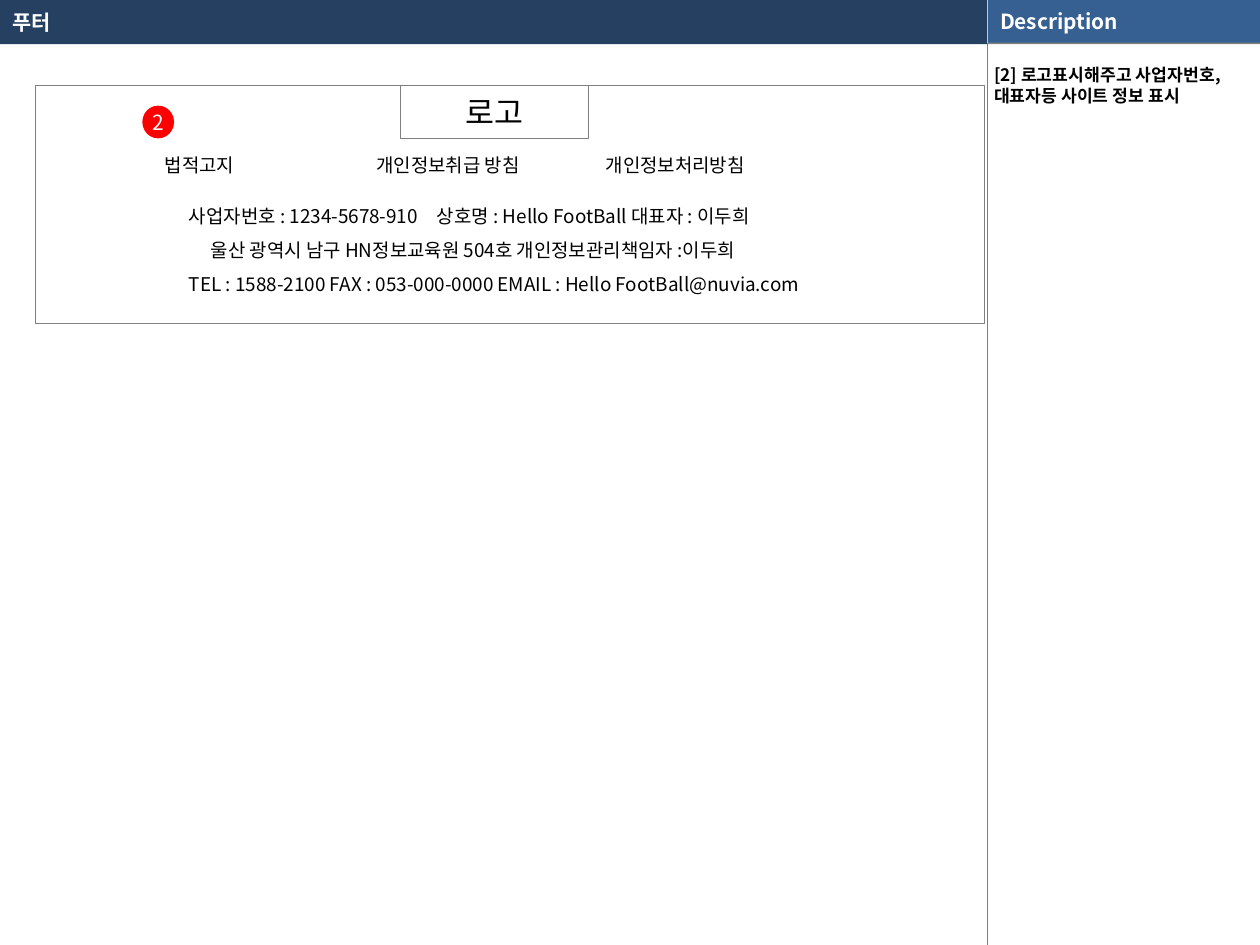
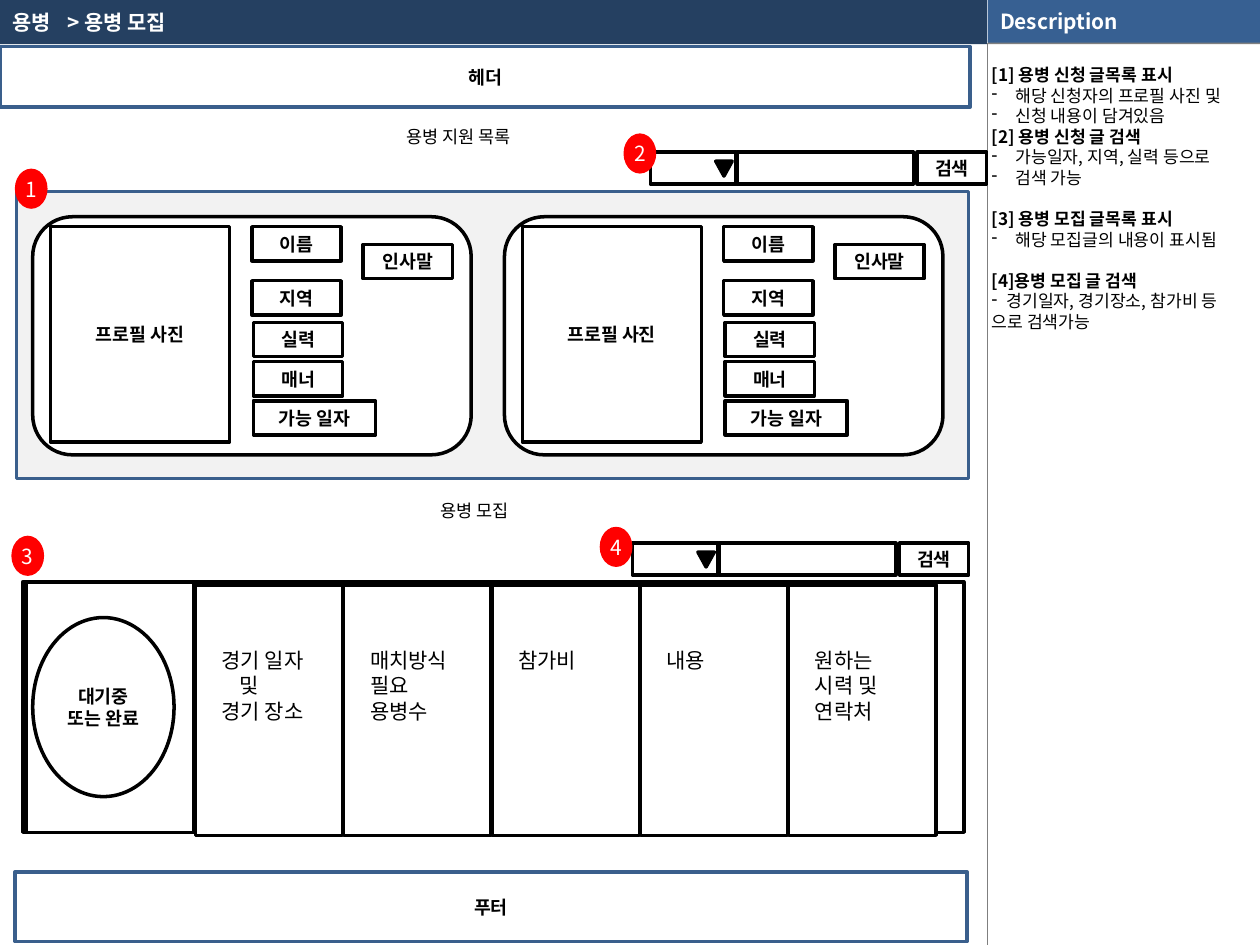
"""Build two wireframe slides: the site footer and the mercenary recruiting page."""
from dataclasses import dataclass
from typing import Optional

from lxml import etree
from pptx import Presentation
from pptx.dml.color import RGBColor
from pptx.enum.shapes import MSO_CONNECTOR, MSO_SHAPE
from pptx.enum.text import MSO_ANCHOR, MSO_AUTO_SIZE, PP_ALIGN
from pptx.oxml.ns import qn
from pptx.util import Cm, Pt

RECTANGLE = MSO_SHAPE.RECTANGLE
ROUNDED = MSO_SHAPE.ROUNDED_RECTANGLE
OVAL = MSO_SHAPE.OVAL
MERGE = MSO_SHAPE.FLOWCHART_MERGE
STRAIGHT = MSO_CONNECTOR.STRAIGHT
LEFT, CENTER = PP_ALIGN.LEFT, PP_ALIGN.CENTER
TOP, MIDDLE = MSO_ANCHOR.TOP, MSO_ANCHOR.MIDDLE
NO_AUTOFIT = MSO_AUTO_SIZE.NONE

FONT = "Noto Sans CJK KR"
WHITE, BLACK, RED = "FFFFFF", "000000", "FF0000"
NAVY, BLUE, FRAME_BLUE = "254061", "376092", "3A5F8C"
GREY, RULE_GREY, PANEL_GREY = "808080", "7F7F7F", "F2F2F2"
SIDE_LEFT, SIDE_WIDTH, SLIDE_WIDTH, SLIDE_HEIGHT = 19.91, 5.49, 25.4, 19.05
BAR_HEIGHT = 0.89
BLANK_LINE = 11.7


@dataclass(frozen=True)
class Box:
    """A rectangle in centimetres."""
    left: float
    top: float
    width: float
    height: float

    def moved(self, right: float, down: float) -> "Box":
        """Return the box shifted by an offset."""
        return Box(self.left + right, self.top + down, self.width, self.height)

    def lengths(self) -> tuple:
        """Return the box as slide lengths."""
        return Cm(self.left), Cm(self.top), Cm(self.width), Cm(self.height)


@dataclass(frozen=True)
class Style:
    """How the text of one box looks."""
    size: float
    color: str = BLACK
    bold: bool = False
    align: PP_ALIGN = LEFT
    anchor: MSO_ANCHOR = TOP
    margins: tuple = (0.25, 0.13, 0.25, 0.13)
    wrap: bool = True
    spacing: Optional[float] = None


@dataclass(frozen=True)
class Line:
    """One paragraph; indent, hanging and tabs are centimetres."""
    text: str
    bold: bool = False
    indent: float = 0
    bullet: bool = False
    tabs: tuple = ()
    before: float = 0


@dataclass(frozen=True)
class Look:
    """Fill and outline of a shape."""
    fill: str = WHITE
    line: Optional[str] = BLACK
    weight: float = 2


@dataclass(frozen=True)
class Field:
    """A labelled box inside a profile card."""
    text: str
    box: Box


BAR_TEXT = Style(11.9, WHITE, bold=True, anchor=MIDDLE)
LABEL = Style(10.5, bold=True, align=CENTER, anchor=MIDDLE)
MARKER = Style(11.9, WHITE, align=CENTER, anchor=MIDDLE, margins=(0, 0, 0, 0), wrap=False)
DESCRIPTION = Style(9.8, margins=(0.1, 0.41, 0.1, 0))
LOGO = Style(18, align=CENTER, anchor=MIDDLE)
SITE_INFO = Style(10.8, spacing=1.5)
SECTION = Style(10)
COLUMN = Style(12)
INK = Look()
FRAMED = Look(line=FRAME_BLUE)
THIN = Look(line=GREY, weight=0.5)

CARD = Box(0.66, 4.37, 8.84, 4.8)
CARD_STEP = 9.51
CARD_FIELDS = (
    Field("프로필 사진", Box(0.36, 0.2, 3.61, 4.34)),
    Field("이름", Box(4.42, 0.2, 1.8, 0.69)),
    Field("인사말", Box(6.66, 0.56, 1.8, 0.69)),
    Field("지역", Box(4.42, 1.29, 1.8, 0.69)),
    Field("실력", Box(4.45, 2.13, 1.8, 0.69)),
    Field("매너", Box(4.45, 2.92, 1.8, 0.69)),
    Field("가능 일자", Box(4.45, 3.71, 2.46, 0.69)),
)
FIRST_COLUMN = Box(3.94, 11.79, 2.97, 5.05)
COLUMN_STEP = 2.99
COLUMNS = (
    [Line("경기 일자"), Line("및", indent=0.36), Line("경기 장소")],
    [Line("매치방식"), Line("필요 용병수")],
    [Line("참가비")],
    [Line("내용")],
    [Line("원하는 시력 및 연락처")],
)


def rgb(color: str) -> RGBColor:
    """Turn a hex string into a colour."""
    return RGBColor.from_string(color)


def format_paragraph(paragraph, line: Line, style: Style) -> None:
    """Write one line into a paragraph and format its runs."""
    properties = paragraph._p.get_or_add_pPr()
    if line.indent:
        properties.set("marL", str(Cm(line.indent)))
    if line.bullet:
        properties.set("indent", str(-Cm(line.indent)))
        etree.SubElement(properties, qn("a:buChar"), char="-")
    if line.tabs:
        tab_list = etree.SubElement(properties, qn("a:tabLst"))
        for position in line.tabs:
            etree.SubElement(tab_list, qn("a:tab"), pos=str(Cm(position)), algn="l")
    paragraph.alignment = style.align
    if style.spacing:
        paragraph.line_spacing = style.spacing
    if line.before:
        paragraph.space_before = Pt(line.before)
    paragraph.text = line.text
    for run in paragraph.runs:
        run.font.size = Pt(style.size)
        run.font.bold = style.bold or line.bold
        run.font.color.rgb = rgb(style.color)
        run.font.name = FONT
        etree.SubElement(run.font._element, qn("a:ea"), typeface=FONT)


def write(shape, lines: list[Line], style: Style) -> None:
    """Fill the text frame of a shape."""
    frame = shape.text_frame
    frame.auto_size = NO_AUTOFIT
    frame.word_wrap = style.wrap
    frame.vertical_anchor = style.anchor
    (frame.margin_left, frame.margin_top,
     frame.margin_right, frame.margin_bottom) = map(Cm, style.margins)
    for index, line in enumerate(lines):
        paragraph = frame.add_paragraph() if index else frame.paragraphs[0]
        format_paragraph(paragraph, line, style)


def add_box(slide, box: Box, look: Look = INK, text: str = "",
            style: Style = LABEL, kind: MSO_SHAPE = RECTANGLE):
    """Draw a preset shape with an optional label."""
    shape = slide.shapes.add_shape(kind, *box.lengths())
    shape.shadow.inherit = False
    shape.fill.solid()
    shape.fill.fore_color.rgb = rgb(look.fill)
    if look.line:
        shape.line.color.rgb = rgb(look.line)
        shape.line.width = Pt(look.weight)
    else:
        shape.line.fill.background()
    if text:
        write(shape, [Line(text)], style)
    return shape


def add_text(slide, box: Box, lines: list[Line], style: Style) -> None:
    """Draw a text box."""
    write(slide.shapes.add_textbox(*box.lengths()), lines, style)


def add_rule(slide, top: float, bottom: float, color: str):
    """Draw a hairline along the left edge of the description pane."""
    rule = slide.shapes.add_connector(
        STRAIGHT, Cm(SIDE_LEFT), Cm(top), Cm(SIDE_LEFT), Cm(bottom))
    rule.line.color.rgb = rgb(color)
    rule.line.width = Pt(0.25)
    etree.SubElement(rule.element.spPr, qn("a:effectLst"))
    return rule


def add_marker(slide, number: int, box: Box) -> None:
    """Draw a red numbered marker."""
    add_box(slide, box, Look(RED, None), str(number), MARKER, OVAL)


def add_page(presentation, title: Line):
    """Add a title-only slide with its title set in the top bar."""
    slide = presentation.slides.add_slide(presentation.slide_layouts[5])
    placeholder = slide.shapes.title
    (placeholder.left, placeholder.top,
     placeholder.width, placeholder.height) = Box(0, 0, 19.35, BAR_HEIGHT).lengths()
    write(placeholder, [title], BAR_TEXT)
    return slide


def move_frame_to_layout(slide) -> None:
    """Draw the shared bars and rules and hand them to the slide's layout."""
    layout = slide.slide_layout
    for placeholder in list(layout.placeholders):
        if placeholder.placeholder_format.idx:
            layout.shapes.element.remove(placeholder.element)
    side_bar = Box(SIDE_LEFT, 0, SIDE_WIDTH, BAR_HEIGHT)
    frame = [
        add_box(slide, Box(0, 0, SIDE_LEFT, BAR_HEIGHT), Look(NAVY, None)),
        add_box(slide, side_bar, Look(GREY, None)),
        add_rule(slide, 0, BAR_HEIGHT, WHITE),
        add_rule(slide, 0.86, SLIDE_HEIGHT, RULE_GREY),
        add_box(slide, Box(SIDE_LEFT, 0, SIDE_WIDTH, 0.86), Look(BLUE, None),
                "Description", BAR_TEXT),
    ]
    for shape in frame:
        layout.shapes.element.append(shape.element)


def add_search_bar(slide, left: float, top: float) -> None:
    """Draw a drop-down, an input and a search button."""
    add_box(slide, Box(left, top, 1.73, 0.64))
    add_box(slide, Box(left + 1.75, top, 3.56, 0.64))
    add_box(slide, Box(left + 5.38, top, 1.4, 0.64), text="검색")
    add_box(slide, Box(left + 1.32, top + 0.18, 0.33, 0.3), Look(BLACK), kind=MERGE)


def add_card(slide, card: Box) -> None:
    """Draw one applicant card."""
    add_box(slide, card, kind=ROUNDED)
    for field in CARD_FIELDS:
        add_box(slide, field.box.moved(card.left, card.top), text=field.text)


def build_footer_page(presentation) -> None:
    """Build the footer slide."""
    slide = add_page(presentation, Line("푸터"))
    move_frame_to_layout(slide)
    add_text(slide, Box(19.94, BAR_HEIGHT, 5.46, 18.16),
             [Line("[2] 로고표시해주고 사업자번호,대표자등 사이트 정보 표시", bold=True)], DESCRIPTION)
    add_box(slide, Box(0.71, 1.73, 19.13, 4.8), THIN)
    add_box(slide, Box(8.08, 1.73, 3.78, 1.07), THIN, "로고", LOGO)
    add_text(slide, Box(3.07, 2.74, 14.91, 0.94),
             [Line("법적고지\t개인정보취급 방침\t개인정보처리방침", tabs=(4.27, 8.89))], SITE_INFO)
    add_text(slide, Box(3.56, 3.76, 14.91, 2.34), [
        Line("사업자번호 : 1234-5678-910\t상호명 : Hello FootBall 대표자 : 이두희", tabs=(5,)),
        Line("울산 광역시 남구 HN정보교육원 504호 개인정보관리책임자 :이두희", indent=0.44),
        Line("TEL : 1588-2100 FAX : 053-000-0000 EMAIL : Hello FootBall@nuvia.com"),
    ], SITE_INFO)
    add_marker(slide, 2, Box(2.87, 2.13, 0.64, 0.66))


def build_recruiting_page(presentation) -> None:
    """Build the mercenary recruiting slide."""
    slide = add_page(presentation, Line("용병\t> 용병 모집", tabs=(1.11,)))
    add_text(slide, Box(19.89, BAR_HEIGHT, 5.51, 18.16), [
        Line("[1] 용병 신청 글목록 표시", bold=True),
        Line("해당 신청자의 프로필 사진 및", indent=0.48, bullet=True),
        Line("신청 내용이 담겨있음", indent=0.48, bullet=True),
        Line("[2] 용병 신청 글 검색", bold=True),
        Line("가능일자, 지역, 실력 등으로", indent=0.48, bullet=True),
        Line("검색 가능", indent=0.48, bullet=True),
        Line("[3] 용병 모집 글목록 표시", bold=True, before=BLANK_LINE),
        Line("해당 모집글의 내용이 표시됨", indent=0.48, bullet=True),
        Line("[4]용병 모집 글 검색", bold=True, before=BLANK_LINE),
        Line("경기일자, 경기장소, 참가비 등", indent=0.3, bullet=True),
        Line("으로 검색가능"),
    ], DESCRIPTION)
    add_box(slide, Box(0, 0.94, 19.56, 1.22), FRAMED, "헤더")
    add_box(slide, Box(0.3, 17.58, 19.2, 1.4), FRAMED, "푸터")

    add_text(slide, Box(7.95, 2.41, 3.68, 0.69), [Line("용병 지원 목록")], SECTION)
    add_search_bar(slide, 13.11, 3.07)
    add_box(slide, Box(0.33, 3.86, 19.2, 5.79), Look(PANEL_GREY, FRAME_BLUE))
    for index in range(2):
        add_card(slide, CARD.moved(index * CARD_STEP, 0))

    add_text(slide, Box(8.64, 9.96, 3.68, 0.69), [Line("용병 모집")], SECTION)
    add_box(slide, Box(0.46, 11.73, 18.97, 5.05))
    add_search_bar(slide, 12.75, 10.95)
    add_box(slide, Box(0.53, 11.73, 3.38, 5.05))
    add_box(slide, Box(0.66, 12.45, 2.85, 3.61), text="대기중 또는 완료", kind=OVAL)
    for index, lines in enumerate(COLUMNS):
        column = FIRST_COLUMN.moved(index * COLUMN_STEP, 0)
        add_box(slide, column)
        add_text(slide, Box(column.left + 0.28, 12.93, 2.41, 1.8), lines, COLUMN)

    marker_corners = ((0.3, 3.4), (12.57, 2.69), (0.23, 10.8), (12.09, 10.62))
    for number, (left, top) in enumerate(marker_corners, start=1):
        add_marker(slide, number, Box(left, top, 0.66, 0.81))


def main() -> None:
    """Build and save the presentation."""
    presentation = Presentation()
    presentation.slide_width = Cm(SLIDE_WIDTH)
    presentation.slide_height = Cm(SLIDE_HEIGHT)
    build_footer_page(presentation)
    build_recruiting_page(presentation)
    presentation.save("out.pptx")


if __name__ == "__main__":
    main()
